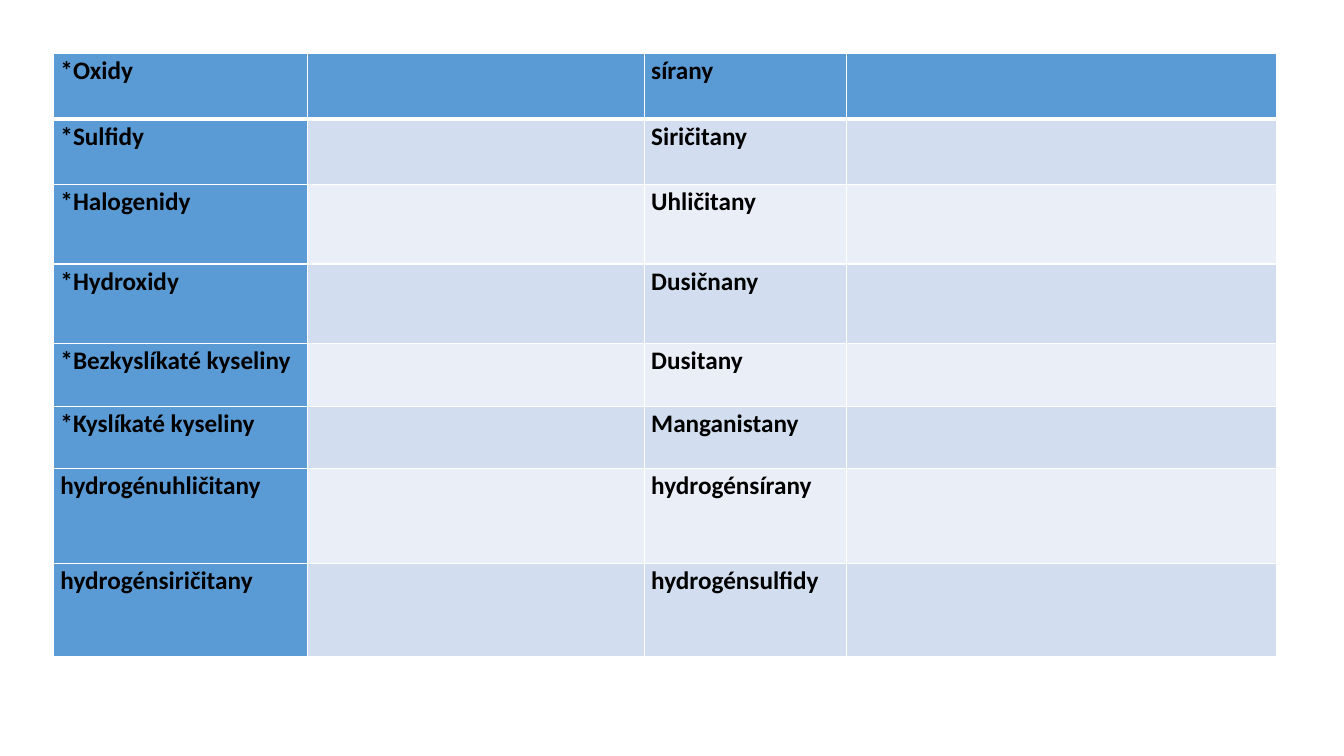
from lxml import etree
from pptx import Presentation
from pptx import util as u
from pptx.dml.color import RGBColor
from pptx.enum import text
from pptx.oxml.ns import qn

PX = 9144  # EMU in one px, 100 px to the inch

BLUE = RGBColor(0x5B, 0x9B, 0xD5)
BAND_DARK = RGBColor(0xD2, 0xDE, 0xEF)
BAND_LIGHT = RGBColor(0xEA, 0xEF, 0xF7)
WHITE = RGBColor(0xFF, 0xFF, 0xFF)
BLACK = RGBColor(0, 0, 0)

COLUMN_WIDTHS = [252, 334, 201, 426]
ROW_HEIGHTS = [65, 65, 79, 79, 62, 62, 94, 93]
COMPOUNDS = [
    ("*Oxidy", "sírany"),
    ("*Sulfidy", "Siričitany"),
    ("*Halogenidy", "Uhličitany"),
    ("*Hydroxidy", "Dusičnany"),
    ("*Bezkyslíkaté kyseliny", "Dusitany"),
    ("*Kyslíkaté kyseliny", "Manganistany"),
    ("hydrogénuhličitany", "hydrogénsírany"),
    ("hydrogénsiričitany", "hydrogénsulfidy"),
]


class SlideBuilder:
    font_format = {"name": "Calibri", "size": u.Pt(18), "bold": True}
    cell_format = {
        "margin_left": 7 * PX,
        "margin_right": 7 * PX,
        "margin_top": 0,
        "margin_bottom": 0,
        "vertical_anchor": text.MSO_ANCHOR.TOP,
    }

    def __init__(self, deck):
        self.page = deck.slides.add_slide(deck.slide_layouts[6])

    def apply(self, target, values):
        for name, value in values.items():
            setattr(target, name, value)

    def border(self, cell, sides):
        """Draw white cell borders; sides maps L, R, T, B to points."""
        properties = cell._tc.get_or_add_tcPr()
        for index, (side, points) in enumerate(sides.items()):
            line = etree.Element(qn(f"a:ln{side}"), w=str(u.Pt(points)))
            fill = etree.SubElement(line, qn("a:solidFill"))
            etree.SubElement(fill, qn("a:srgbClr"), val=str(WHITE))
            properties.insert(index, line)

    def cell(self, cell, label, color, sides):
        self.apply(cell, self.cell_format)
        cell.fill.solid()
        cell.fill.fore_color.rgb = color
        self.border(cell, sides)
        para = cell.text_frame.paragraphs[0]
        para.line_spacing = 1.07
        if label:
            span = para.add_run()
            span.text = label
            self.apply(span.font, self.font_format)
            span.font.color.rgb = BLACK

    def table(self, left, top, widths, heights, rows):
        table = self.page.shapes.add_table(
            len(heights), len(widths), left * PX, top * PX,
            sum(widths) * PX, sum(heights) * PX).table
        table.first_col = True
        for column, width in zip(table.columns, widths):
            column.width = width * PX
        for row, height in zip(table.rows, heights):
            row.height = height * PX

        # Blue header row and first column, banded body
        for r, labels in enumerate(rows):
            band = BAND_DARK if r % 2 else BAND_LIGHT
            sides = {"L": 1, "R": 1, "T": 3 if r == 1 else 1, "B": 3 if r == 0 else 1}
            for c, label in enumerate(labels):
                color = BLUE if r == 0 or c == 0 else band
                self.cell(table.cell(r, c), label, color, sides)


def main():
    deck = Presentation()
    deck.slide_width, deck.slide_height = 1333 * PX, 750 * PX
    builder = SlideBuilder(deck)

    # Compound names, each followed by an empty answer cell
    rows = [(first, "", second, "") for first, second in COMPOUNDS]
    builder.table(53, 53, COLUMN_WIDTHS, ROW_HEIGHTS, rows)

    deck.save("out.pptx")


if __name__ == "__main__":
    main()
